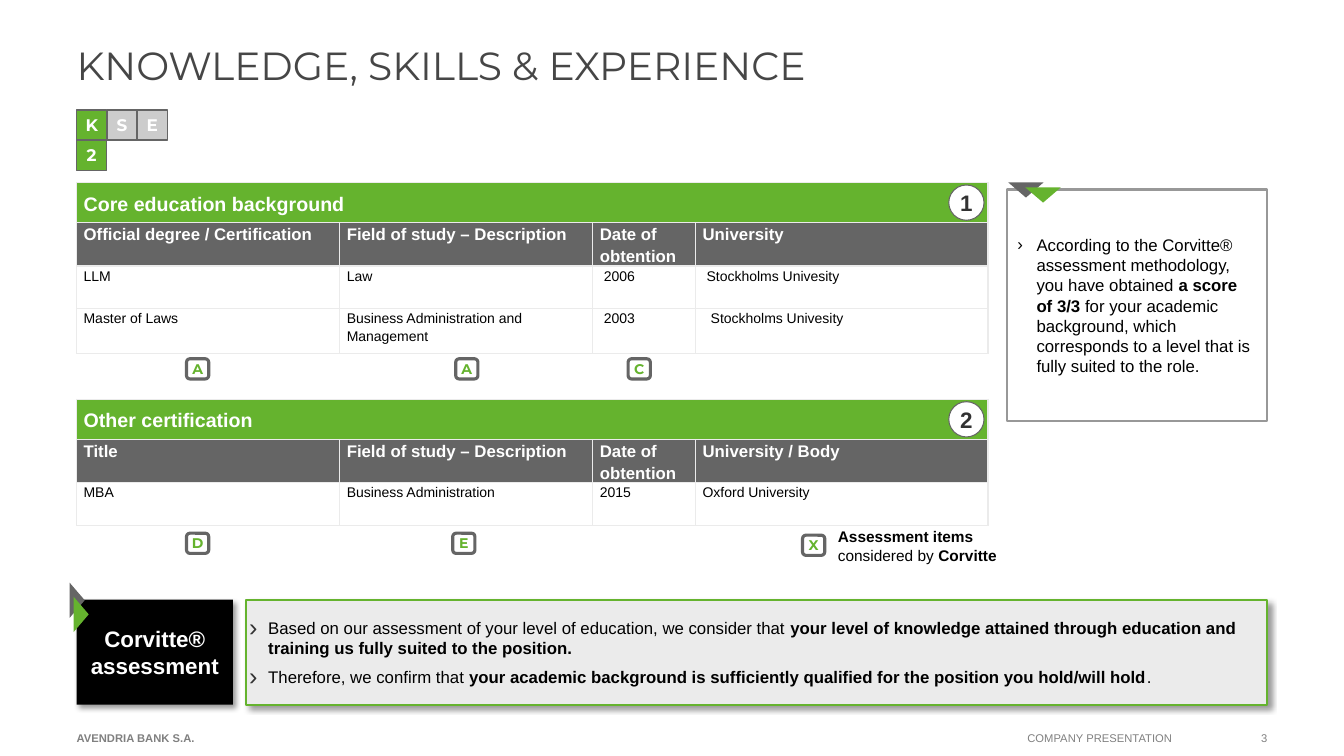
import pptx
import pptx.util
import pptx.dml.color
import pptx.enum.shapes
import pptx.enum.text
import pptx.oxml.ns
import lxml.etree

Pt = pptx.util.Pt
RGB = pptx.dml.color.RGBColor
KIND = pptx.enum.shapes.MSO_SHAPE
ALIGN = pptx.enum.text.PP_ALIGN
ANCHOR = pptx.enum.text.MSO_ANCHOR

GREEN = RGB(0x65, 0xB3, 0x2E)
DARK = RGB(0x65, 0x65, 0x65)
SILVER = RGB(0xCC, 0xCC, 0xCC)
PALE = RGB(0xEB, 0xEB, 0xEB)
EDGE = RGB(0x98, 0x98, 0x98)
MUTED = RGB(0x80, 0x80, 0x80)
HEADING = RGB(0x46, 0x46, 0x46)
INK = RGB(0x32, 0x32, 0x32)
BLACK = RGB(0, 0, 0)
WHITE = RGB(0xFF, 0xFF, 0xFF)

WIDE, HIGH = pptx.util.Inches(13.33), pptx.util.Inches(7.5)
COLS, ROWS = 133.3, 75
SHARES = (26.1, 25.1, 10.2, 29)


def across(n):
    """Turn grid columns into a length."""
    return round(WIDE * n / COLS)


def down(n):
    """Turn grid rows into a length."""
    return round(HIGH * n / ROWS)


def place(box):
    """Turn a grid box into left, top, width and height."""
    x, y, w, h = box
    return across(x), down(y), across(w), down(h)


def child(node, tag, **attrs):
    """Add a drawing element below a node."""
    return lxml.etree.SubElement(node, pptx.oxml.ns.qn("a:" + tag), attrs)


def write(para, runs, size, color, font="Arial"):
    """Add pairs of text and bold flag to a paragraph."""
    for text, bold in runs:
        run = para.add_run()
        run.text = text
        run.font.name, run.font.size, run.font.bold = font, Pt(size), bold
        run.font.color.rgb = color


def frame(shape, inset, anchor=ANCHOR.MIDDLE):
    """Set the wrap, anchor and insets of a text frame."""
    text = shape.text_frame
    text.word_wrap = True
    text.auto_size = pptx.enum.text.MSO_AUTO_SIZE.NONE
    text.vertical_anchor = anchor
    text.margin_left = text.margin_right = across(inset)
    text.margin_top = text.margin_bottom = down(inset)
    return text


def paint(shape, fill, line=None, width=1, shade=False):
    """Set the fill, line and shadow of a shape."""
    if fill is None:
        shape.fill.background()
    else:
        shape.fill.solid()
        shape.fill.fore_color.rgb = fill
    if line is None:
        shape.line.fill.background()
    else:
        shape.line.color.rgb = line
        shape.line.width = Pt(width)
    shape.shadow.inherit = False
    if shade:
        effects = shape._element.spPr.find(pptx.oxml.ns.qn("a:effectLst"))
        outer = child(effects, "outerShdw", blurRad=str(Pt(4)), dist=str(Pt(3)),
                      dir="2700000", algn="tl", rotWithShape="0")
        child(child(outer, "srgbClr", val=str(BLACK)), "alpha", val="40000")


def block(slide, kind, box, fill, line=None, width=1, shade=False):
    """Add a painted preset shape."""
    shape = slide.shapes.add_shape(kind, *place(box))
    paint(shape, fill, line, width, shade)
    return shape


def label(shape, text, size, color, font="Arial", inset=0.3):
    """Put centred bold text in a shape."""
    para = frame(shape, inset).paragraphs[0]
    para.alignment = ALIGN.CENTER
    write(para, [(text, True)], size, color, font)


def plain(slide, box, runs, size, color, side=ALIGN.LEFT, anchor=ANCHOR.MIDDLE):
    """Add a text box without insets."""
    shape = slide.shapes.add_textbox(*place(box))
    para = frame(shape, 0, anchor).paragraphs[0]
    para.alignment = side
    write(para, runs, size, color)


def list_box(holder, box, items, color, scale, inset):
    """Fill a body placeholder with bullet items."""
    holder.left, holder.top, holder.width, holder.height = place(box)
    text = frame(holder, inset)
    for i, runs in enumerate(items):
        para = text.add_paragraph() if i else text.paragraphs[0]
        para.alignment = ALIGN.LEFT
        para.space_before = para.space_after = Pt(3)
        write(para, runs, 12, BLACK)
        props = para._p.get_or_add_pPr()
        props.set("marL", str(across(1.9)))
        props.set("indent", str(-across(1.9)))
        child(child(props, "buClr"), "srgbClr", val=str(color))
        child(props, "buSzPct", val=str(scale * 1000))
        child(props, "buFont", typeface="Arial")
        child(props, "buChar", char="›")


def wedge(slide, x, y, turn, shift):
    """Add a grey and a green triangle, the second shifted."""
    for i, fill in enumerate((DARK, GREEN)):
        box = (x + i * shift[0], y + i * shift[1], 3.5, 1.5)
        block(slide, KIND.ISOSCELES_TRIANGLE, box, fill).rotation = turn


def head(slide, box):
    """Place the slide title."""
    title = slide.shapes.title
    title.left, title.top, title.width, title.height = place(box)
    para = frame(title, 0, ANCHOR.TOP).paragraphs[0]
    para.alignment = ALIGN.LEFT
    write(para, [("KNOWLEDGE, SKILLS & EXPERIENCE", False)], 28, HEADING, "Montserrat")


def score(slide, box):
    """Draw the letter tiles and the score below the first."""
    x, y, w, h = box
    side = w / 3
    tiles = [("K", 0, 0, GREEN), ("S", 1, 0, SILVER), ("E", 2, 0, SILVER), ("2", 0, 1, GREEN)]
    for text, col, row, fill in tiles:
        spot = (x + col * side, y + row * h / 2, side, h / 2)
        label(block(slide, KIND.RECTANGLE, spot, fill, DARK), text, 12, WHITE, "Montserrat")


def fill_cell(cell, text, size, color, bold, fill, indent=0):
    """Write a table cell and set its border and fill."""
    cell.margin_left, cell.margin_right = across(0.7 + indent), across(0.7)
    cell.margin_top = cell.margin_bottom = 0
    para = cell.text_frame.paragraphs[0]
    para.line_spacing = 1.15
    write(para, [(text, bold)], size, color)
    props = cell._tc.get_or_add_tcPr()
    for side in "LRTB":
        line = child(props, "ln" + side, w=str(Pt(1)))
        child(child(line, "solidFill"), "srgbClr", val=str(PALE))
    if fill is None:
        cell.fill.background()
    else:
        cell.fill.solid()
        cell.fill.fore_color.rgb = fill


def study(slide, box, number, name, heads, rows, tall, indents=()):
    """Draw a table of studies with its numbered disc."""
    x, y, w, h = box
    table = slide.shapes.add_table(len(rows) + 2, len(SHARES), *place(box)).table
    for col, share in zip(table.columns, SHARES):
        col.width = across(w * share / sum(SHARES))
    for row, size in zip(table.rows, tall):
        row.height = down(size)
    for c in range(len(SHARES)):
        fill_cell(table.cell(0, c), "" if c else name, 14, WHITE, True, GREEN)
        fill_cell(table.cell(1, c), heads[c], 12, WHITE, True, DARK)
        for r, row in enumerate(rows):
            gap = indents[r][c] if indents else 0
            fill_cell(table.cell(r + 2, c), row[c], 10, BLACK, False, None, gap)
    table.cell(0, 0).merge(table.cell(0, len(SHARES) - 1))
    table.cell(0, 0).vertical_anchor = ANCHOR.MIDDLE
    disc = block(slide, KIND.OVAL, (x + w - 3.9, y + 0.25, 3.5, 3.5), WHITE, DARK, 0.75)
    label(disc, number, 16, INK, inset=0)


def badge(slide, x, y, text):
    """Draw a small lettered badge."""
    shape = block(slide, KIND.ROUNDED_RECTANGLE, (x, y, 2.2, 2), WHITE, DARK, 2.25)
    label(shape, text, 10, GREEN, "Montserrat")


def note(slide, holder, box):
    """Fill the framed note on the right."""
    x, y, w, h = box
    list_box(holder, box, [[
        ("According to the Corvitte® assessment methodology, you have obtained ", False),
        ("a score of 3/3", True),
        (" for your academic background, which corresponds to a level that is "
         "fully suited to the role.", False)]], BLACK, 100, 1)
    paint(holder, None, EDGE, 1.5)
    wedge(slide, x + 0.1, y - 0.7, 180, (1.7, 0.5))


def verdict(slide, holder, box):
    """Fill the assessment band with its black label."""
    x, y, w, h = box
    list_box(holder, (x + 16.8, y, w - 16.8, h), [
        [("Based on our assessment of your level of education, we consider that ", False),
         ("your level of knowledge attained through education and training us fully "
          "suited to the position.", True)],
        [("Therefore, we confirm that ", False),
         ("your academic background is sufficiently qualified for the position you "
          "hold/will hold", True), (".", False)]], INK, 150, 0.3)
    paint(holder, PALE, GREEN, 1.5, True)
    tag = block(slide, KIND.RECTANGLE, (x, y, 15.5, h), BLACK, shade=True)
    label(tag, "Corvitte® assessment", 16, WHITE)
    wedge(slide, x - 1.7, y - 0.7, 90, (0.4, 1.4))


def foot(slide, box):
    """Place the footer texts."""
    x, y, w, h = box
    plain(slide, (x, y, 22.6, h), [("AVENDRIA BANK S.A.", True)], 8, MUTED)
    plain(slide, (x + 94.3, y, 16, h), [("COMPANY PRESENTATION", False)], 8, MUTED)
    plain(slide, (x + w - 3.4, y, 3.4, h), [("3", False)], 8, MUTED, ALIGN.RIGHT)


def main():
    """Build and save the slide."""
    deck = pptx.Presentation()
    deck.slide_width, deck.slide_height = WIDE, HIGH
    slide = deck.slides.add_slide(deck.slide_layouts[3])
    first, second = list(slide.placeholders)[1:3]
    head(slide, (7.6, 4.1, 118.1, 9.7))
    score(slide, (7.6, 10.9, 9, 6))
    study(slide, (7.6, 18.1, 90.4, 17), "1", "Core education background",
          ("Official degree / Certification", "Field of study – Description",
           "Date of obtention", "University"),
          [("LLM", "Law", "2006", "Stockholms Univesity"),
           ("Master of Laws", "Business Administration and Management", "2003",
            "Stockholms Univesity")],
          (4, 4.3, 4.2, 4.5), [(0, 0, 0.4, 0.4), (0, 0, 0.4, 0.8)])
    study(slide, (7.6, 39.6, 90.4, 12.5), "2", "Other certification",
          ("Title", "Field of study – Description", "Date of obtention", "University / Body"),
          [("MBA", "Business Administration", "2015", "Oxford University")], (4, 4.3, 4.2))
    for x, y, text in [(18.5, 35.6, "A"), (45.2, 35.6, "A"), (62.3, 35.6, "C"),
                       (18.5, 52.9, "D"), (44.9, 52.9, "E"), (79.6, 53.1, "X")]:
        badge(slide, x, y, text)
    plain(slide, (83.1, 52.3, 17, 4), [("Assessment items ", True), ("considered by ", False),
          ("Corvitte", True)], 11, BLACK, anchor=ANCHOR.TOP)
    note(slide, first, (99.9, 18.8, 25.8, 23))
    verdict(slide, second, (7.6, 59.5, 118.1, 10.4))
    foot(slide, (7.6, 71.4, 118.1, 3.6))
    deck.save("out.pptx")


if __name__ == "__main__":
    main()
